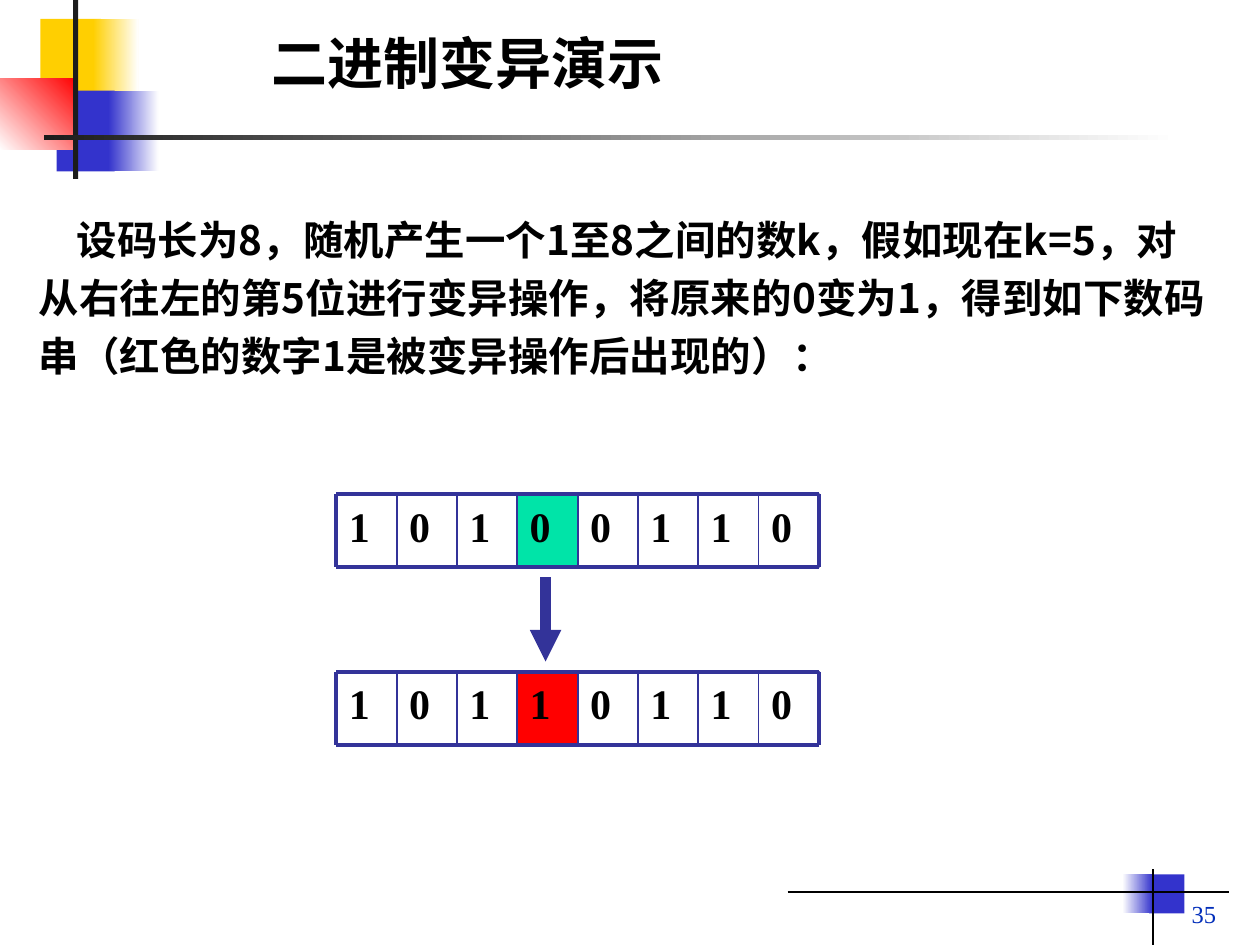
from lxml import etree
from pptx import Presentation
from pptx.dml.color import RGBColor
from pptx.enum.shapes import MSO_CONNECTOR, MSO_SHAPE
from pptx.enum.text import MSO_ANCHOR, PP_ALIGN
from pptx.oxml.ns import qn
from pptx.util import Inches, Pt

SANS, SERIF = "Noto Sans CJK SC", "Times New Roman"
BLACK, WHITE, CHARCOAL = "000000", "FFFFFF", "1C1C1C"
YELLOW, RED, BLUE = "FFCF01", "FF0000", "3333CC"
GREEN, INDIGO, PAGE_BLUE = "00E4A8", "333399", "022EBA"


def rgb(value):
    return RGBColor.from_string(value)


def add_rect(slide, box, fill=None, angle=0):
    """Rectangle without outline; a pair of colours as fill gives a gradient."""
    rect = slide.shapes.add_shape(MSO_SHAPE.RECTANGLE, *map(Inches, box))
    rect.shadow.inherit = False
    rect.line.fill.background()
    if fill is None:
        rect.fill.background()
    elif isinstance(fill, tuple):
        rect.fill.gradient()
        rect.fill.gradient_angle = angle
        for stop, position, color in zip(rect.fill.gradient_stops, (0, 1), fill):
            stop.position = position
            stop.color.rgb = rgb(color)
    else:
        rect.fill.solid()
        rect.fill.fore_color.rgb = rgb(fill)
    return rect


def add_line(slide, start, end, color, width):
    line = slide.shapes.add_connector(
        MSO_CONNECTOR.STRAIGHT, *map(Inches, (*start, *end)))
    line.line.color.rgb = rgb(color)
    line.line.width = Pt(width)
    etree.SubElement(line._element.spPr, qn("a:effectLst"))
    return line


def write(shape, text, size, font, color=BLACK, bold=True,
          anchor=MSO_ANCHOR.TOP, align=PP_ALIGN.LEFT):
    """Fill a shape with one paragraph and return that paragraph."""
    frame = shape.text_frame
    frame_format = {
        "word_wrap": True, "vertical_anchor": anchor,
        "margin_left": Inches(0.1), "margin_right": Inches(0.1),
        "margin_top": Inches(0.05), "margin_bottom": Inches(0.05),
    }
    for name, value in frame_format.items():
        setattr(frame, name, value)
    paragraph = frame.paragraphs[0]
    paragraph.alignment = align
    run = paragraph.add_run()
    run.text = text
    for name, value in {"size": Pt(size), "bold": bold, "name": font}.items():
        setattr(run.font, name, value)
    run.font.color.rgb = rgb(color)
    etree.SubElement(run._r.get_or_add_rPr(), qn("a:ea"), typeface=font)
    return paragraph


def add_text(slide, box, text, size, font, **style):
    return write(slide.shapes.add_textbox(*map(Inches, box)),
                 text, size, font, **style)


def draw_corner_ornament(slide, left, top):
    # Coloured blocks, vertical bar and fading rule, back to front
    blocks = [
        ((0.32, 0.15, 0.48, 0.64), YELLOW, 0),
        ((0.74, 0.15, 0.36, 0.64), (YELLOW, WHITE), 0),
        ((0.45, 0.72, 0.46, 0.64), BLUE, 0),
        ((0.86, 0.72, 0.4, 0.64), (BLUE, WHITE), 0),
        ((0, 0.62, 0.61, 0.57), (WHITE, RED), 45),
        ((0.58, 0, 0.04, 1.42), CHARCOAL, 0),
        ((0.35, 1.07, 9, 0.04), (CHARCOAL, WHITE), 0),
    ]
    for (x, y, width, height), fill, angle in blocks:
        add_rect(slide, (left + x, top + y, width, height), fill, angle)


def draw_footer(slide, left, top, width, height, page):
    right, cross_x = left + width, left + 2.9
    # Blue block fading to the left, with crossed rules
    add_rect(slide, (cross_x - 0.03, top + 0.04, 0.28, 0.31), BLUE)
    add_rect(slide, (cross_x - 0.24, top + 0.04, 0.24, 0.31), (WHITE, BLUE))
    add_line(slide, (left, top + 0.18), (right, top + 0.18), BLACK, 0.75)
    add_line(slide, (cross_x, top), (cross_x, top + height), BLACK, 0.75)
    # Page number
    add_text(slide, (right - 2.08, top, 2.08, 0.52), page, 14, SERIF,
             color=PAGE_BLUE, bold=False, anchor=MSO_ANCHOR.BOTTOM,
             align=PP_ALIGN.RIGHT)


def draw_explanation(slide, box, text):
    paragraph = add_text(slide, box, text, 23.1, SANS)
    paragraph.line_spacing = 1.2
    properties = paragraph._p.get_or_add_pPr()
    properties.set("marL", str(Inches(0.21)))
    properties.set("indent", str(Inches(0.3)))


def draw_bit_string(slide, left, top, width, height, bits, marked, mark_color):
    right, bottom = left + width, top + height
    step = width / len(bits)
    # One cell for each bit
    for index, bit in enumerate(bits):
        cell = add_rect(slide, (left + index * step, top, step, height),
                        mark_color if index == marked else None)
        cell.line.color.rgb = rgb(INDIGO)
        cell.line.width = Pt(0.75)
        write(cell, bit, 24, SERIF)
    # Heavy frame and thin dividers
    for y in (top, bottom):
        add_line(slide, (left, y), (right, y), INDIGO, 2.25)
    for index in range(len(bits) + 1):
        x = left + index * step
        weight = 2.25 if index in (0, len(bits)) else 1
        add_line(slide, (x, top), (x, bottom), INDIGO, weight)


def draw_mutation(slide, left, top, width, height):
    row_height, marked = 0.58, 3
    rows = [(top, "10100110", GREEN),
            (top + height - row_height, "10110110", RED)]
    for row_top, bits, mark_color in rows:
        draw_bit_string(slide, left, row_top, width, row_height,
                        bits, marked, mark_color)
    # Arrow from the old bit to the mutated one
    arrow_x = left + 1.66
    arrow = add_line(slide, (arrow_x, top + row_height + 0.08),
                     (arrow_x, top + height - row_height - 0.08), INDIGO, 6)
    etree.SubElement(arrow.line._get_or_add_ln(), qn("a:tailEnd"),
                     type="triangle")


def main():
    deck = Presentation()
    deck.slide_width, deck.slide_height = Inches(10), Inches(7.5)
    slide = deck.slides.add_slide(deck.slide_layouts[6])

    draw_corner_ornament(slide, 0, 0)
    draw_footer(slide, 6.25, 6.9, 3.5, 0.6, "35")
    add_text(slide, (2.06, 0, 6, 0.99), "二进制变异演示", 32, SANS,
             anchor=MSO_ANCHOR.MIDDLE)
    draw_explanation(
        slide, (0, 1.58, 9.67, 1.85),
        "设码长为8，随机产生一个1至8之间的数k，假如现在k=5，"
        "对从右往左的第5位进行变异操作，将原来的0变为1，"
        "得到如下数码串（红色的数字1是被变异操作后出现的）：")
    draw_mutation(slide, 2.67, 3.92, 3.83, 1.99)

    deck.save("out.pptx")


if __name__ == "__main__":
    main()
